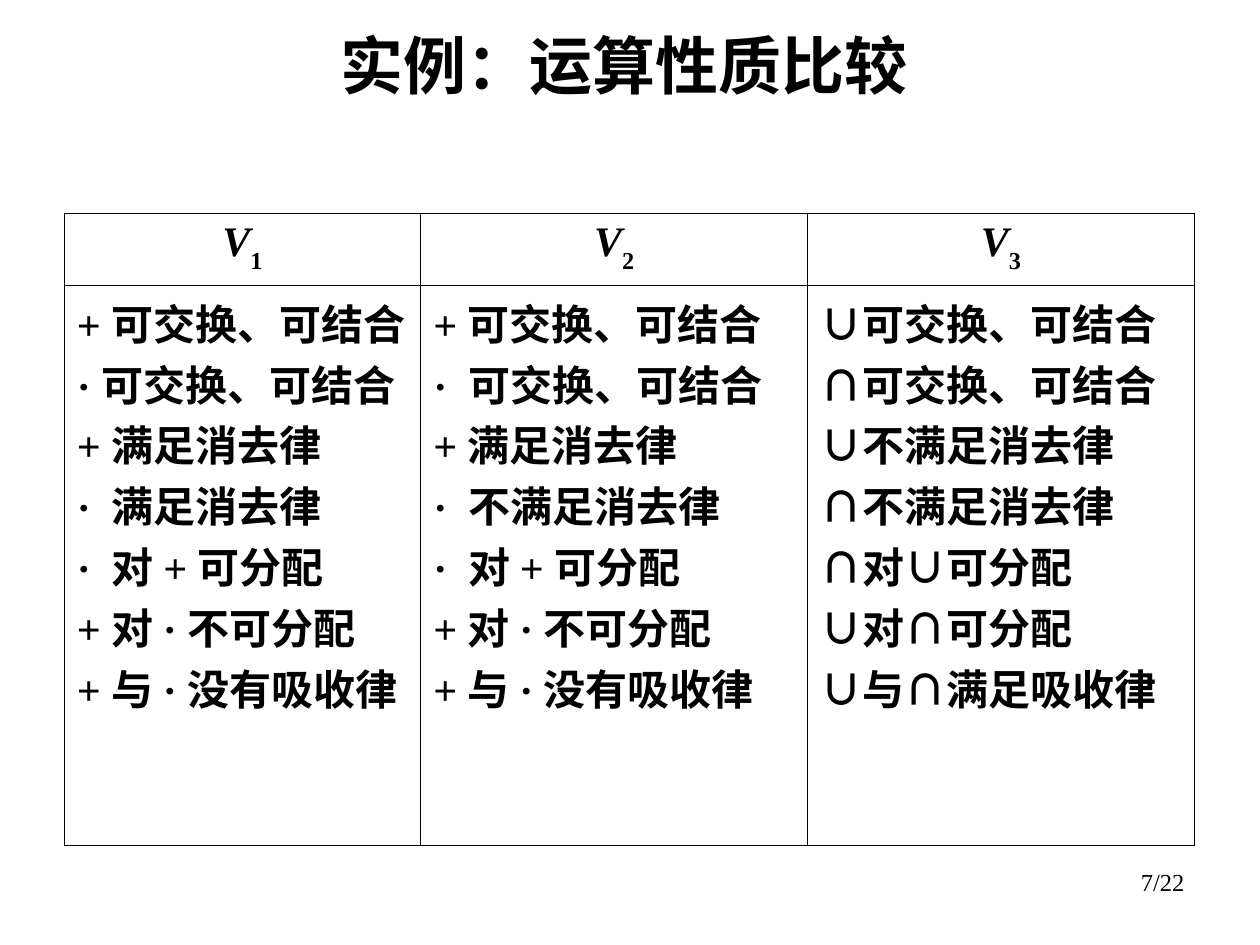
import pptx
import pptx.util
import pptx.dml.color
import pptx.enum.text
import pptx.oxml
import pptx.oxml.ns
from pptx.util import Inches

BLACK = pptx.dml.color.RGBColor(0, 0, 0)
WHITE = pptx.dml.color.RGBColor(255, 255, 255)
ALIGN = pptx.enum.text.PP_ALIGN
ANCHOR = pptx.enum.text.MSO_ANCHOR

TITLE = {"name": "Arial", "size": pptx.util.Pt(36), "bold": True}
NUMBER = {"name": "Times New Roman", "size": pptx.util.Pt(14), "bold": False}
BODY = {"name": "Times New Roman", "size": pptx.util.Pt(24), "bold": True}


def add_span(para, text, style):
    span = para.add_run()
    span.text = text
    for key, value in style.items():
        setattr(span.font, key, value)
    span.font.color.rgb = BLACK
    return span


def style_cell(cell):
    cell.fill.solid()
    cell.fill.fore_color.rgb = WHITE
    properties = cell._tc.get_or_add_tcPr()
    for index, side in enumerate(("lnL", "lnR", "lnT", "lnB")):
        border = pptx.oxml.parse_xml(
            f'<a:{side} {pptx.oxml.ns.nsdecls("a")} w="5715"><a:solidFill>'
            f'<a:srgbClr val="{BLACK}"/></a:solidFill></a:{side}>'
        )
        properties.insert(index, border)


deck = pptx.Presentation()
deck.slide_width = Inches(10)
deck.slide_height = Inches(7.5)
page = deck.slides.add_slide(deck.slide_layouts[6])

labels = [
    ("实例：运算性质比较", (1.61, 0.28, 6.69, 0.46), TITLE, ALIGN.CENTER, ANCHOR.MIDDLE),
    ("7/22", (7.17, 6.83, 2.33, 0.52), NUMBER, ALIGN.RIGHT, ANCHOR.TOP),
]
for text, place, style, alignment, anchor in labels:
    box = page.shapes.add_textbox(*map(Inches, place))
    box.text_frame.word_wrap = True
    box.text_frame.vertical_anchor = anchor
    para = box.text_frame.paragraphs[0]
    para.alignment = alignment
    add_span(para, text, style)

columns = [
    (2.83, ["+ 可交换、可结合", "· 可交换、可结合", "+ 满足消去律", "·  满足消去律",
            "·  对 + 可分配", "+ 对 · 不可分配", "+ 与 · 没有吸收律"]),
    (3.07, ["+ 可交换、可结合", "·  可交换、可结合", "+ 满足消去律", "·  不满足消去律",
            "·  对 + 可分配", "+ 对 · 不可分配", "+ 与 · 没有吸收律"]),
    (3.07, ["∪可交换、可结合", "∩可交换、可结合", "∪不满足消去律", "∩不满足消去律",
            "∩对∪可分配", "∪对∩可分配", "∪与∩满足吸收律"]),
]
row_heights = [0.55, 4.45]
table = page.shapes.add_table(
    len(row_heights), len(columns),
    Inches(0.51), Inches(1.69), Inches(8.97), Inches(sum(row_heights)),
).table
table.first_row = False
table.horz_banding = False
for row, height in zip(table.rows, row_heights):
    row.height = Inches(height)

for index, (width, properties) in enumerate(columns):
    table.columns[index].width = Inches(width)
    header, body = table.cell(0, index), table.cell(1, index)
    style_cell(header)
    style_cell(body)

    para = header.text_frame.paragraphs[0]
    para.alignment = ALIGN.CENTER
    add_span(para, "V", BODY | {"italic": True})
    subscript = add_span(para, str(index + 1), BODY)
    subscript._r.get_or_add_rPr().set("baseline", "-30000")

    for position, text in enumerate(properties):
        frame = body.text_frame
        para = frame.add_paragraph() if position else frame.paragraphs[0]
        add_span(para, text, BODY)

deck.save("out.pptx")
